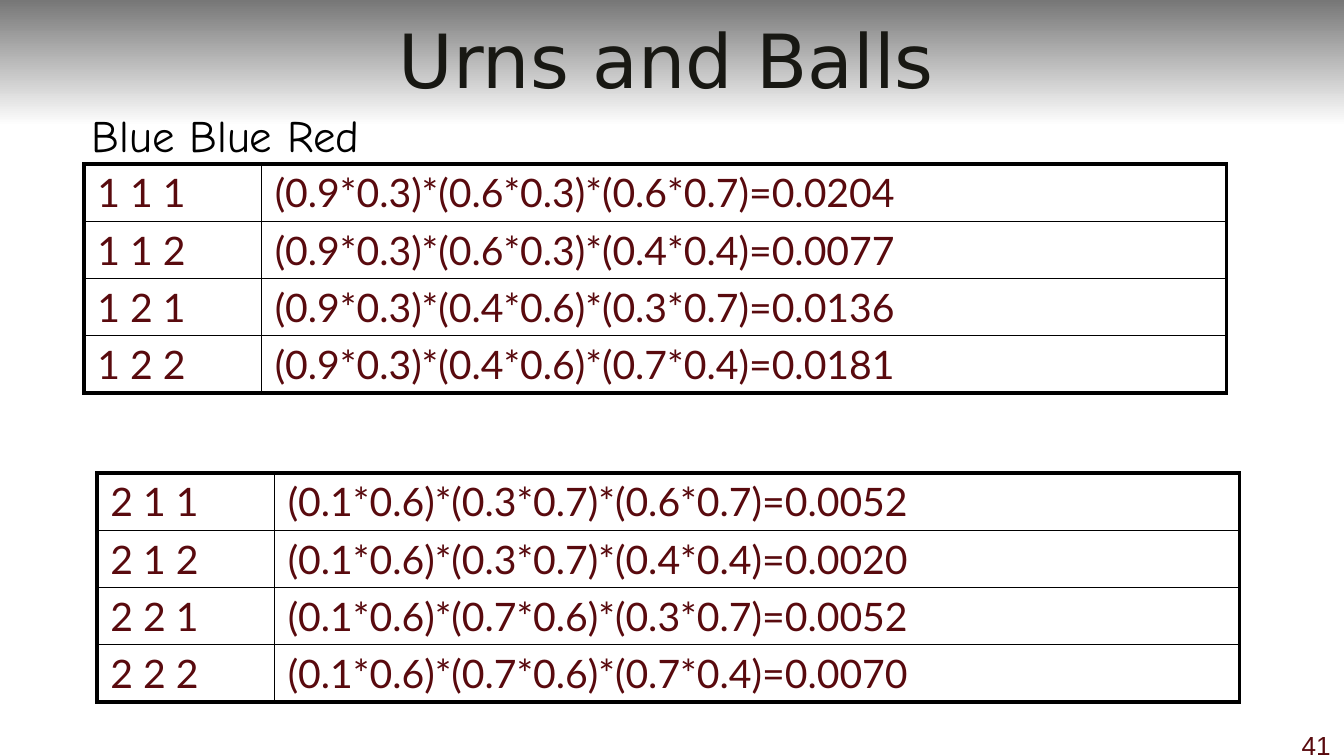
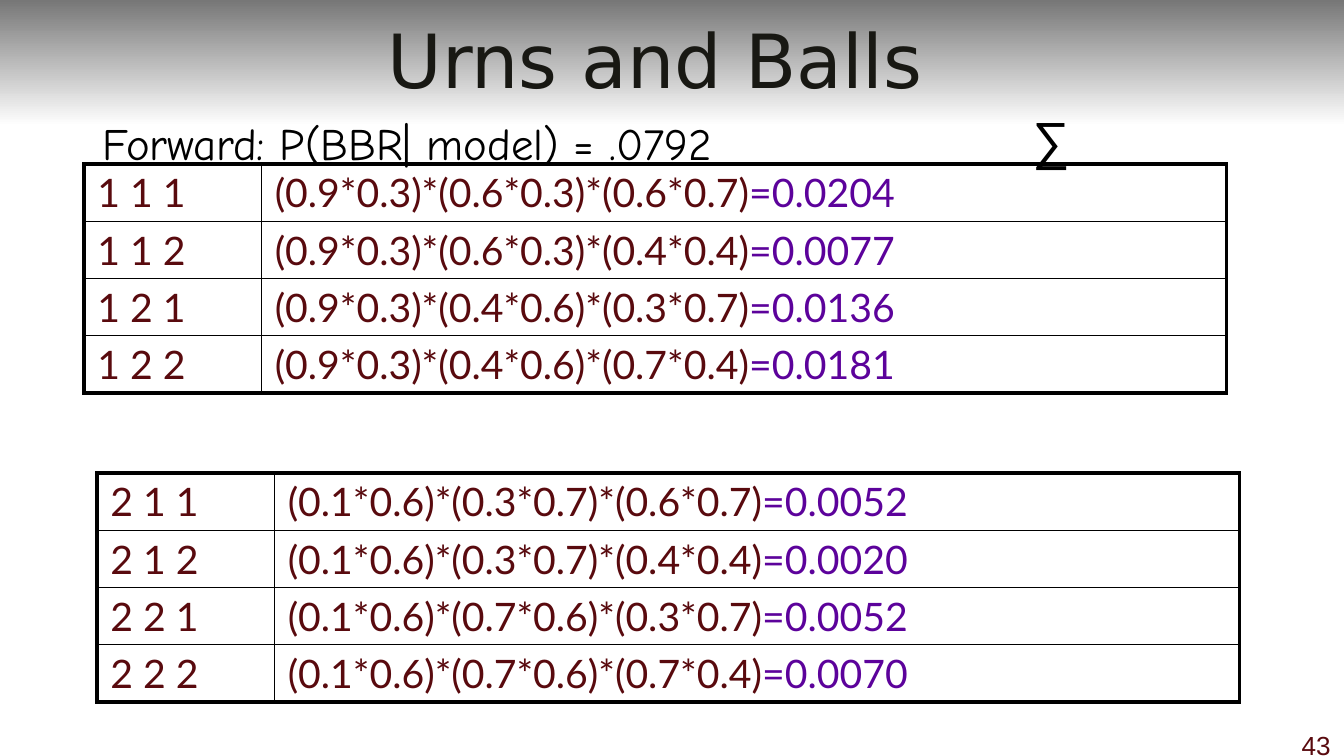
from lxml import etree
from pptx import Presentation
from pptx.dml.color import RGBColor
from pptx.enum.shapes import MSO_SHAPE
from pptx.enum.text import MSO_ANCHOR, MSO_AUTO_SIZE, PP_ALIGN
from pptx.oxml.ns import qn
from pptx.util import Pt

RECTANGLE = MSO_SHAPE.RECTANGLE
MIDDLE = MSO_ANCHOR.MIDDLE
NO_FIT, GROW = MSO_AUTO_SIZE.NONE, MSO_AUTO_SIZE.SHAPE_TO_FIT_TEXT
LEFT, CENTER, RIGHT = PP_ALIGN.LEFT, PP_ALIGN.CENTER, PP_ALIGN.RIGHT

BLACK = RGBColor(0x00, 0x00, 0x00)
WHITE = RGBColor(0xFF, 0xFF, 0xFF)
GRAY = RGBColor(0x77, 0x77, 0x77)
INK = RGBColor(0x18, 0x18, 0x13)
MAROON = RGBColor(0x59, 0x0A, 0x0E)
PURPLE = RGBColor(0x5C, 0x02, 0x9B)

TITLE_FONT, TABLE_FONT = "DejaVu Sans", "Lato"
NOTE_FONT, PLAIN_FONT = "Comic Neue", "Arial"

SLIDE_W, SLIDE_H = 720, 405
BAND_H = 67.5
ROW_H = 30.6
COLUMN_WIDTHS = (95, 517)
OUTER_LINE, INNER_LINE = 2.25, 1

URN_1_ROWS = (
    ("1 1 1", "(0.9*0.3)*(0.6*0.3)*(0.6*0.7)", "=0.0204"),
    ("1 1 2", "(0.9*0.3)*(0.6*0.3)*(0.4*0.4)", "=0.0077"),
    ("1 2 1", "(0.9*0.3)*(0.4*0.6)*(0.3*0.7)", "=0.0136"),
    ("1 2 2", "(0.9*0.3)*(0.4*0.6)*(0.7*0.4)", "=0.0181"),
)
URN_2_ROWS = (
    ("2 1 1", "(0.1*0.6)*(0.3*0.7)*(0.6*0.7)", "=0.0052"),
    ("2 1 2", "(0.1*0.6)*(0.3*0.7)*(0.4*0.4)", "=0.0020"),
    ("2 2 1", "(0.1*0.6)*(0.7*0.6)*(0.3*0.7)", "=0.0052"),
    ("2 2 2", "(0.1*0.6)*(0.7*0.6)*(0.7*0.4)", "=0.0070"),
)


def format_paragraph(p, font, size, color, align=LEFT):
    p.alignment = align
    p.font.name = font
    p.font.size = Pt(size)
    p.font.color.rgb = color


def set_borders(cell, widths):
    """Draw solid black cell borders; widths run left, right, top, bottom."""
    tcPr = cell._tc.get_or_add_tcPr()
    for i, (side, width) in enumerate(zip("LRTB", widths)):
        ln = etree.Element(qn(f"a:ln{side}"), w=str(Pt(width)))
        fill = etree.SubElement(ln, qn("a:solidFill"))
        etree.SubElement(fill, qn("a:srgbClr"), val=str(BLACK))
        tcPr.insert(i, ln)


class Deck:
    """Holds the presentation, its style and the slide being filled."""

    def __init__(self):
        self.prs = Presentation()
        self.prs.slide_width = Pt(SLIDE_W)
        self.prs.slide_height = Pt(SLIDE_H)
        self.slide = None

    def add_slide(self, title, title_left, number):
        layout = self.prs.slide_layouts.get_by_name("Title Only")
        self.slide = self.prs.slides.add_slide(layout)
        self.band()
        self.text(str(number), (684, 387, 36, 18), PLAIN_FONT, 14, MAROON,
                  align=RIGHT)
        self.title(title, title_left)

    def band(self):
        """Add the gradient band behind everything else."""
        sp = self.slide.shapes.add_shape(RECTANGLE, 0, 0, Pt(SLIDE_W), Pt(BAND_H))
        sp.shadow.inherit = False
        sp.line.fill.background()
        sp.fill.gradient()
        sp.fill.gradient_angle = 270
        for stop, color in zip(sp.fill.gradient_stops, (GRAY, WHITE)):
            stop.color.rgb = color
        self.slide.shapes.element.insert(2, sp.element)

    def title(self, text, left):
        sp = self.slide.shapes.title
        sp.left, sp.top, sp.width, sp.height = Pt(left), 0, Pt(702), Pt(63)
        tf = sp.text_frame
        tf.text = text
        tf.auto_size = NO_FIT
        tf.vertical_anchor = MIDDLE
        format_paragraph(tf.paragraphs[0], TITLE_FONT, 40, INK, CENTER)

    def text(self, text, box, font, size, color=BLACK, align=LEFT,
             wrap=True, fit=NO_FIT):
        sp = self.slide.shapes.add_textbox(*map(Pt, box))
        tf = sp.text_frame
        tf.text = text
        tf.word_wrap = wrap
        tf.auto_size = fit
        format_paragraph(tf.paragraphs[0], font, size, color, align)

    def note(self, text, left, top, width):
        self.text(text, (left, top, width, 36), NOTE_FONT, 24,
                  wrap=False, fit=GROW)

    def table(self, rows, left, top, result_color):
        frame = self.slide.shapes.add_table(
            len(rows), len(COLUMN_WIDTHS), Pt(left), Pt(top),
            Pt(sum(COLUMN_WIDTHS)), Pt(ROW_H * len(rows)))
        table = frame.table
        table.first_row = table.horz_banding = False
        for column, width in zip(table.columns, COLUMN_WIDTHS):
            column.width = Pt(width)
        last_row, last_column = len(rows) - 1, len(COLUMN_WIDTHS) - 1
        for i, (urns, product, result) in enumerate(rows):
            table.rows[i].height = Pt(ROW_H)
            for j, text in enumerate((urns, product)):
                cell = table.cell(i, j)
                cell.fill.background()
                cell.margin_top = cell.margin_bottom = Pt(2.7)
                edges = (j == 0, j == last_column, i == 0, i == last_row)
                set_borders(cell, [OUTER_LINE if edge else INNER_LINE
                                   for edge in edges])
                p = cell.text_frame.paragraphs[0]
                format_paragraph(p, TABLE_FONT, 21, MAROON)
                p.add_run().text = text
            r = p.add_run()
            r.text = result
            if result_color != MAROON:
                r.font.color.rgb = result_color

    def urn_tables(self, result_color):
        self.table(URN_1_ROWS, 45, 88, result_color)
        self.table(URN_2_ROWS, 52, 253.5, result_color)


def main():
    deck = Deck()

    deck.add_slide("Urns and Balls", 6, 41)
    deck.urn_tables(MAROON)
    deck.note("Blue Blue Red", 42, 54, 167)

    deck.add_slide("Urns and Balls", 0, 43)
    deck.urn_tables(PURPLE)
    deck.note("Forward: P(BBR| model) = .0792", 48, 58.5, 374)
    deck.text("∑", (546, 54, 72, 41), PLAIN_FONT, 28, fit=GROW)

    deck.prs.save("out.pptx")


if __name__ == "__main__":
    main()
